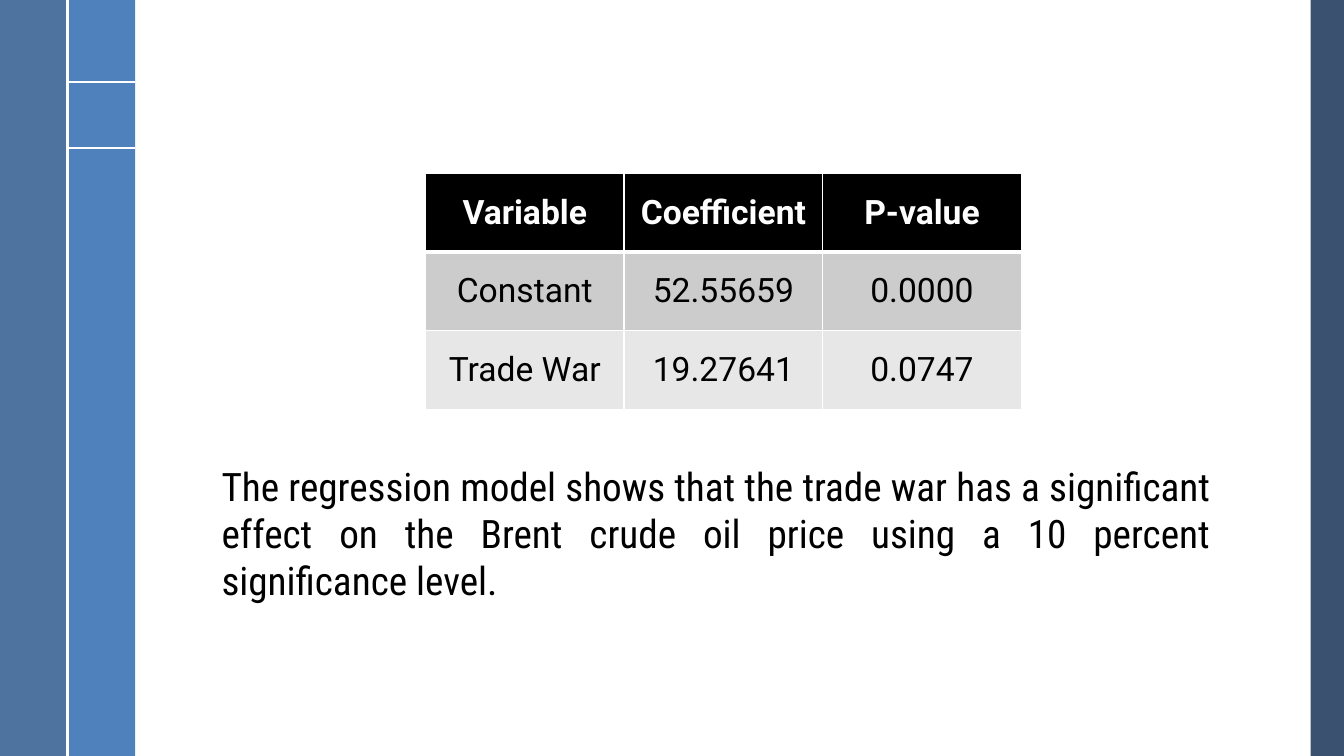
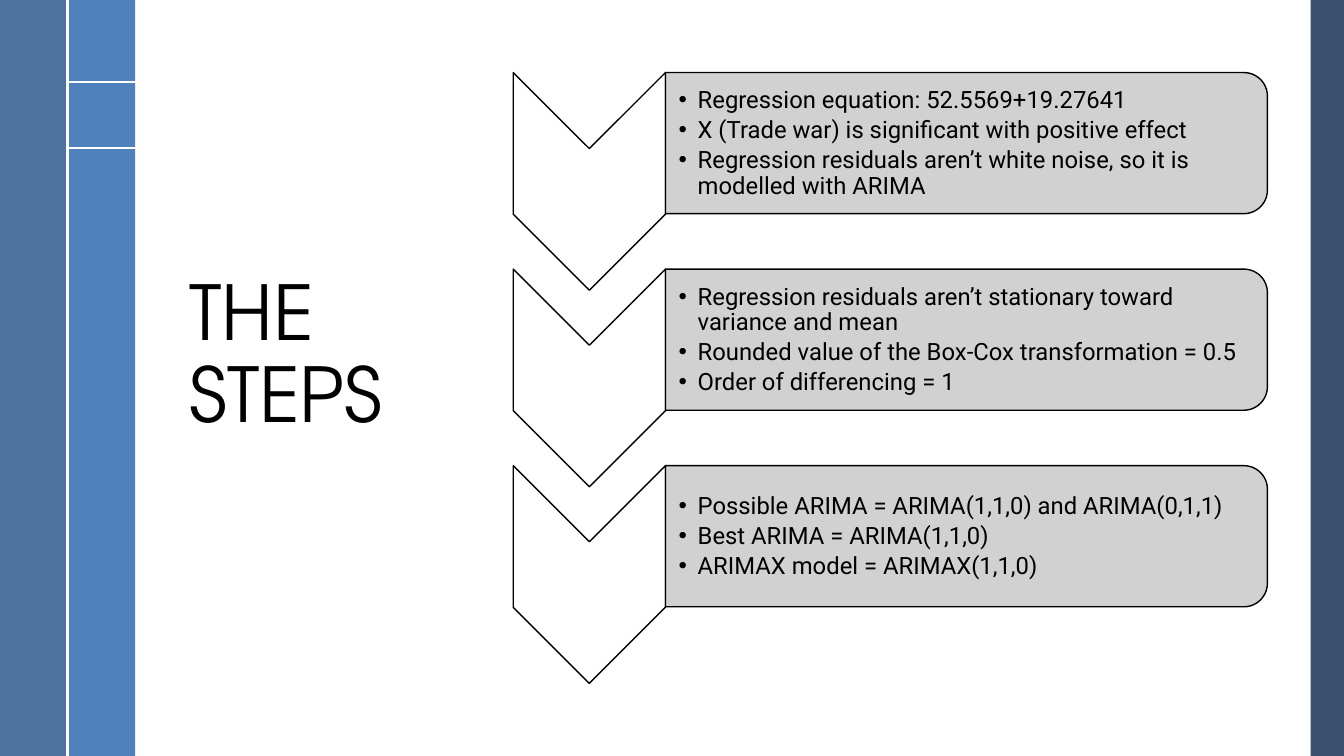
from dataclasses import dataclass

from lxml import etree
from pptx import Presentation
from pptx.dml.color import RGBColor
from pptx.enum.shapes import MSO_CONNECTOR, MSO_SHAPE
from pptx.enum.text import MSO_ANCHOR, PP_ALIGN
from pptx.oxml.ns import qn
from pptx.util import Inches, Pt

RECTANGLE = MSO_SHAPE.RECTANGLE
CHEVRON = MSO_SHAPE.CHEVRON
ROUND_TOP = MSO_SHAPE.ROUND_2_SAME_RECTANGLE
STRAIGHT = MSO_CONNECTOR.STRAIGHT
TOP, MIDDLE, BOTTOM = MSO_ANCHOR.TOP, MSO_ANCHOR.MIDDLE, MSO_ANCHOR.BOTTOM
LEFT, CENTER, JUSTIFY = PP_ALIGN.LEFT, PP_ALIGN.CENTER, PP_ALIGN.JUSTIFY


@dataclass(frozen=True)
class Theme:
    black: str = "000000"
    white: str = "FFFFFF"
    outer_band: str = "376092"
    inner_band: str = "4F81BD"
    right_band: str = "254061"
    panel: str = "CCCCCC"
    row_fills: tuple = ("000000", "CCCCCC", "E7E7E7")
    title_font: str = "TeX Gyre Adventor"
    body_font: str = "Roboto"
    note_font: str = "Roboto Condensed"
    title_size: int = 54
    note_size: int = 28
    table_size: int = 24
    bullet_size: int = 17


class Deck:
    width, height = 13.33, 7.5
    band = 0.67

    def __init__(self, theme):
        self.theme = theme
        self.presentation = Presentation()
        self.presentation.slide_width = Inches(self.width)
        self.presentation.slide_height = Inches(self.height)
        self.slide = None

    def new_slide(self):
        theme, band = self.theme, self.band
        self.slide = self.presentation.slides.add_slide(self.presentation.slide_layouts[6])
        self.shape(RECTANGLE, (13, 0, 0.33, self.height), theme.right_band, opacity=90)
        self.shape(RECTANGLE, (band, 0, band, self.height), theme.inner_band)
        self.shape(RECTANGLE, (0, 0, band, self.height), theme.outer_band, opacity=88)
        for y in (0.81, 1.47):
            self.line((band, y), (2 * band, y))
        self.line((band, 0), (band, self.height))

    def shape(self, kind, box, fill, opacity=100, outline=None, rotation=0):
        shape = self.slide.shapes.add_shape(kind, *map(Inches, box))
        shape.shadow.inherit = False
        shape.rotation = rotation
        shape.fill.solid()
        shape.fill.fore_color.rgb = RGBColor.from_string(fill)
        if opacity < 100:
            color = shape.element.spPr.find(qn("a:solidFill"))[0]
            etree.SubElement(color, qn("a:alpha"), val=str(opacity * 1000))
        if outline:
            shape.line.color.rgb = RGBColor.from_string(outline)
            shape.line.width = Pt(1)
        else:
            shape.line.fill.background()

    def upright(self, kind, box, fill, **options):
        left, top, width, height = box
        shift = (width - height) / 2
        turned = (left + shift, top - shift, height, width)
        self.shape(kind, turned, fill, rotation=90, outline=self.theme.black, **options)

    def line(self, start, end):
        connector = self.slide.shapes.add_connector(STRAIGHT, *map(Inches, start + end))
        connector.line.color.rgb = RGBColor.from_string(self.theme.white)
        connector.line.width = Pt(1.5)
        etree.SubElement(connector.element.spPr, qn("a:effectLst"))

    def add_text(self, paragraph, text, font, size, color=None, bold=False, **layout):
        for name, value in layout.items():
            setattr(paragraph, name, value)
        run = paragraph.add_run()
        run.text = text
        for name, value in {"name": font, "size": Pt(size), "bold": bold}.items():
            setattr(run.font, name, value)
        run.font.color.rgb = RGBColor.from_string(color or self.theme.black)

    def text_frame(self, box, anchor=TOP, margins=(0.1, 0.05, 0.1, 0.05)):
        frame = self.slide.shapes.add_textbox(*map(Inches, box)).text_frame
        frame.word_wrap = True
        frame.vertical_anchor = anchor
        for side, margin in zip(("left", "top", "right", "bottom"), margins):
            setattr(frame, f"margin_{side}", Inches(margin))
        return frame

    def title(self, text, box):
        frame = self.text_frame(box, BOTTOM)
        self.add_text(frame.paragraphs[0], text, self.theme.title_font,
                      self.theme.title_size, alignment=LEFT, line_spacing=0.9)

    def note(self, text, box):
        frame = self.text_frame(box)
        self.add_text(frame.paragraphs[0], text, self.theme.note_font,
                      self.theme.note_size, alignment=JUSTIFY)

    def bullets(self, items, box):
        frame = self.text_frame(box, MIDDLE, (0.13, 0.01, 0.01, 0.01))
        indent = Inches(0.19)
        for index, item in enumerate(items):
            paragraph = frame.add_paragraph() if index else frame.paragraphs[0]
            properties = paragraph._p.get_or_add_pPr()
            properties.set("marL", str(indent))
            properties.set("indent", str(-indent))
            etree.SubElement(properties, qn("a:buFont"), typeface="Arial")
            etree.SubElement(properties, qn("a:buChar"), char="•")
            self.add_text(paragraph, item, self.theme.body_font, self.theme.bullet_size,
                          alignment=LEFT, line_spacing=0.9, space_after=Pt(3))

    def table(self, rows, left, top, column_width, row_height):
        theme = self.theme
        columns = len(rows[0])
        box = (left, top, column_width * columns, row_height * len(rows))
        table = self.slide.shapes.add_table(len(rows), columns, *map(Inches, box)).table
        for column in table.columns:
            column.width = Inches(column_width)
        for row_index, values in enumerate(rows):
            header = row_index == 0
            table.rows[row_index].height = Inches(row_height)
            for column_index, value in enumerate(values):
                cell = table.cell(row_index, column_index)
                cell.vertical_anchor = MIDDLE
                cell.fill.solid()
                cell.fill.fore_color.rgb = RGBColor.from_string(theme.row_fills[row_index])
                self.borders(cell, top=3 if row_index == 1 else 1, bottom=3 if header else 1)
                self.add_text(cell.text_frame.paragraphs[0], value, theme.body_font,
                              theme.table_size, theme.white if header else theme.black,
                              bold=header, alignment=CENTER)

    def borders(self, cell, top, bottom):
        properties = cell._tc.get_or_add_tcPr()
        widths = {"a:lnL": 1, "a:lnR": 1, "a:lnT": top, "a:lnB": bottom}
        for position, (tag, width) in enumerate(widths.items()):
            border = etree.Element(qn(tag), w=str(Pt(width)))
            fill = etree.SubElement(border, qn("a:solidFill"))
            etree.SubElement(fill, qn("a:srgbClr"), val=self.theme.white)
            properties.insert(position, border)

    def step(self, items, top):
        self.upright(CHEVRON, (5.09, top, 1.51, 2.16), self.theme.white)
        self.upright(ROUND_TOP, (6.6, top, 5.97, 1.4), self.theme.panel, opacity=90)
        self.bullets(items, (6.6, top + 0.07, 5.9, 1.27))


REGRESSION = [
    ("Variable", "Coefficient", "P-value"),
    ("Constant", "52.55659", "0.0000"),
    ("Trade War", "19.27641", "0.0747"),
]
FINDING = ("The regression model shows that the trade war has a significant effect on "
           "the Brent crude oil price using a 10 percent significance level.")
STEPS = [
    ("Regression equation: 52.5569+19.27641",
     "X (Trade war) is significant with positive effect",
     "Regression residuals aren’t white noise, so it is modelled with ARIMA"),
    ("Regression residuals aren’t stationary toward variance and mean",
     "Rounded value of the Box-Cox transformation = 0.5",
     "Order of differencing = 1"),
    ("Possible ARIMA = ARIMA(1,1,0) and ARIMA(0,1,1)",
     "Best ARIMA = ARIMA(1,1,0)",
     "ARIMAX model = ARIMAX(1,1,0)"),
]


def main():
    deck = Deck(Theme())

    deck.new_slide()
    deck.table(REGRESSION, left=4.22, top=1.72, column_width=1.97, row_height=0.78)
    deck.note(FINDING, (2.1, 4.54, 10, 1.5))

    deck.new_slide()
    deck.title("THE STEPS", (1.78, 3.1, 2.83, 1.3))
    for index, items in enumerate(STEPS):
        deck.step(items, top=0.72 + 1.95 * index)

    deck.presentation.save("out.pptx")


if __name__ == "__main__":
    main()
